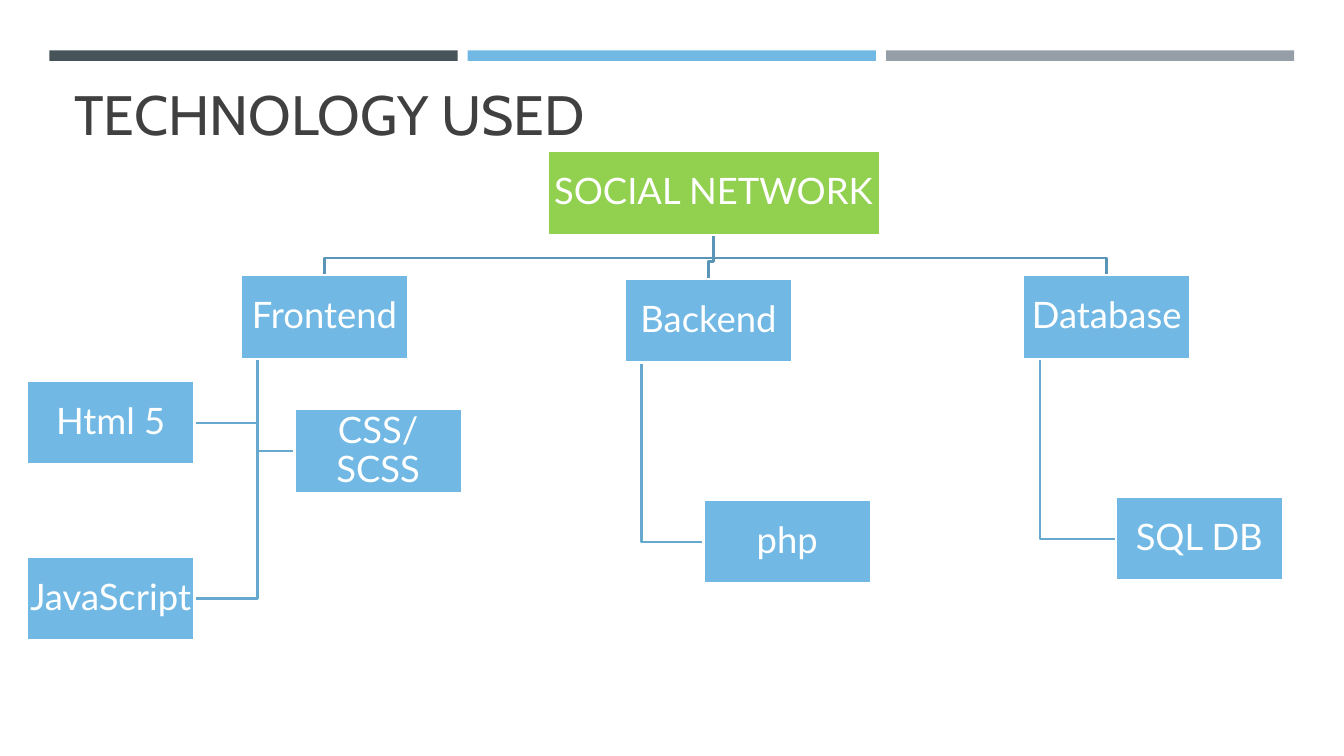
import pptx
import pptx.dml.color
import pptx.enum.shapes
import pptx.enum.text
import pptx.util

Pt = pptx.util.Pt
ANCHOR = pptx.enum.text.MSO_ANCHOR
RECTANGLE = pptx.enum.shapes.MSO_SHAPE.RECTANGLE

TITLE = "TECHNOLOGY USED"
BAR_COLORS = ["465359", "71B9E4", "969FA7"]
ROOT = ("SOCIAL NETWORK", 391, 108)
BRANCHES = [
    (("Frontend", 172.1, 196.6),
     [("Html 5", 19.4, 272.2), ("CSS/SCSS", 210.4, 292.3), ("JavaScript", 19.4, 397.6)]),
    (("Backend", 446.4, 199.2), [("php", 502.6, 357.1)]),
    (("Database", 730.8, 196.6), [("SQL DB", 797, 355)]),
]
ROOT_WIDTH, NODE_WIDTH, NODE_HEIGHT = 237.6, 119.5, 59.76
BRANCH_DROP = 12.4
SPINE_INSET = NODE_WIDTH / 10
LINE_WIDTH = 1.75
BAR_LEFT, BAR_TOP, BAR_WIDTH, BAR_HEIGHT, BAR_PITCH = 35.28, 36, 291.6, 7.5, 298.8


def color(value):
    return pptx.dml.color.RGBColor.from_string(value)


def add_rectangle(left, top, width, height, fill):
    shape = slide.shapes.add_shape(RECTANGLE, Pt(left), Pt(top), Pt(width), Pt(height))
    shape.shadow.inherit = False
    shape.fill.solid()
    shape.fill.fore_color.rgb = color(fill)
    shape.line.fill.background()
    return shape


def format_text(shape, text, size, font, font_color, anchor, alignment):
    frame = shape.text_frame
    frame.word_wrap = True
    frame.vertical_anchor = anchor
    frame.text = text
    paragraph = frame.paragraphs[0]
    paragraph.alignment = alignment
    run_font = paragraph.runs[0].font
    run_font.size = Pt(size)
    run_font.name = font
    run_font.color.rgb = color(font_color)


def add_node(node, width=NODE_WIDTH, fill="71B9E4"):
    text, left, top = node
    shape = add_rectangle(left, top, width, NODE_HEIGHT, fill)
    shape.line.color.rgb = color("FFFFFF")
    shape.line.width = Pt(LINE_WIDTH)
    frame = shape.text_frame
    frame.margin_left = frame.margin_right = Pt(1.3)
    frame.margin_top = frame.margin_bottom = Pt(1.3)
    format_text(shape, text, 26, "Lato", "FFFFFF", ANCHOR.MIDDLE,
                pptx.enum.text.PP_ALIGN.CENTER)
    frame.paragraphs[0].line_spacing = 0.9


def add_elbow(points, line_color):
    start, *rest = [(Pt(x), Pt(y)) for x, y in points]
    builder = slide.shapes.build_freeform(*start, scale=1.0)
    builder.add_line_segments(rest, close=False)
    shape = builder.convert_to_shape()
    shape.shadow.inherit = False
    shape.fill.background()
    shape.line.color.rgb = color(line_color)
    shape.line.width = Pt(LINE_WIDTH)


def connect_branch(branch):
    _, left, top = branch
    trunk = ROOT[1] + ROOT_WIDTH / 2
    center = left + NODE_WIDTH / 2
    bend = top - BRANCH_DROP
    add_elbow([(trunk, ROOT[2] + NODE_HEIGHT), (trunk, bend), (center, bend), (center, top)],
              "5A94B7")


def connect_leaf(branch, leaf):
    spine = branch[1] + SPINE_INSET
    edge = leaf[1] if leaf[1] > spine else leaf[1] + NODE_WIDTH
    middle = leaf[2] + NODE_HEIGHT / 2
    add_elbow([(spine, branch[2] + NODE_HEIGHT), (spine, middle), (edge, middle)], "67A8CF")


presentation = pptx.Presentation()
presentation.slide_width, presentation.slide_height = Pt(960), Pt(540)
slide = presentation.slides.add_slide(presentation.slide_layouts[6])

for index, bar_color in enumerate(BAR_COLORS):
    add_rectangle(BAR_LEFT + index * BAR_PITCH, BAR_TOP, BAR_WIDTH, BAR_HEIGHT, bar_color)

title = slide.shapes.add_textbox(Pt(46.1), Pt(55.4), Pt(868.3), Pt(52.6))
format_text(title, TITLE, 39.6, "Cabin", "404040", ANCHOR.BOTTOM,
            pptx.enum.text.PP_ALIGN.LEFT)

for branch, leaves in BRANCHES:
    connect_branch(branch)
    for leaf in leaves:
        connect_leaf(branch, leaf)

add_node(ROOT, ROOT_WIDTH, "92D050")
for branch, leaves in BRANCHES:
    for node in [branch, *leaves]:
        add_node(node)

presentation.save("out.pptx")
